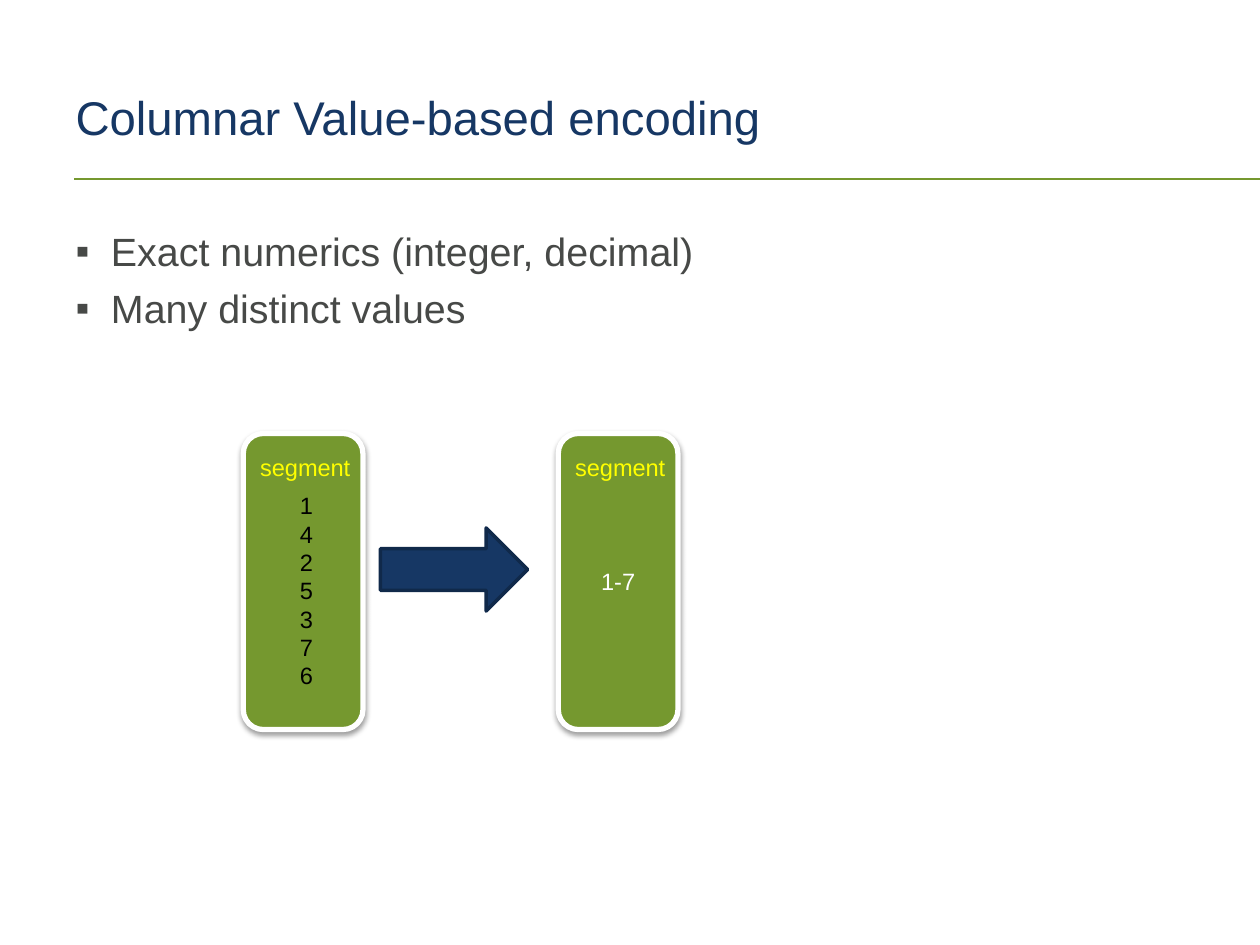
from lxml.etree import SubElement
from pptx import Presentation
from pptx.dml.color import RGBColor
from pptx.enum.shapes import MSO_CONNECTOR, MSO_SHAPE
from pptx.enum.text import MSO_ANCHOR, MSO_AUTO_SIZE, PP_ALIGN
from pptx.oxml import parse_xml
from pptx.oxml.ns import nsdecls, qn
from pptx.util import Pt

# Content
TITLE = "Columnar Value-based encoding"
POINTS = ["Exact numerics (integer, decimal)", "Many distinct values"]
LABEL = "segment"
VALUES = ["1", "4", "2", "5", "3", "7", "6"]
RANGE = "1-7"

# Colours and places (left, top, width, height in points)
NAVY, EDGE, GREEN, GREY = "163764", "10294A", "75982F", "474947"
WHITE, BLACK, YELLOW = "FFFFFF", "000000", "FFFF00"
HEAD = (36, 21.6, 648, 90)
BODY = (36, 126, 648, 356.4)
RULE = (42.5, 102.2, 720)
ARROW = (217.4, 301.7, 84.2, 47.5)
CARDS = (139, 319)
TOP, WIDE, HIGH = 247.7, 68.4, 169.2
SMALL = 13.5


def rgb(code):
    return RGBColor.from_string(code)


def place(shape, box):
    shape.left, shape.top, shape.width, shape.height = map(Pt, box)


def write(frame, lines, size, color, align=PP_ALIGN.LEFT):
    for i, line in enumerate(lines):
        para = frame.paragraphs[0] if i == 0 else frame.add_paragraph()
        para.text = line
        para.alignment = align
        font = para.font
        font.name, font.size = "Arial", Pt(size)
        font.color.rgb = rgb(color)


def shape(kind, box, fill, edge, weight):
    item = slide.shapes.add_shape(kind, *map(Pt, box))
    item.shadow.inherit = False
    item.fill.solid()
    item.fill.fore_color.rgb = rgb(fill)
    item.line.color.rgb = rgb(edge)
    item.line.width = Pt(weight)
    return item


def shade(item):
    effect = item._element.spPr.find(qn("a:effectLst"))
    effect.append(parse_xml(
        f'<a:outerShdw {nsdecls("a")} blurRad="{Pt(3.1)}" dist="{Pt(1.6)}" '
        'dir="5400000" rotWithShape="0"><a:srgbClr val="000000">'
        '<a:alpha val="38000"/></a:srgbClr></a:outerShdw>'))


def label(box, lines, color):
    frame = slide.shapes.add_textbox(*map(Pt, box)).text_frame
    frame.word_wrap = False
    frame.auto_size = MSO_AUTO_SIZE.SHAPE_TO_FIT_TEXT
    write(frame, lines, SMALL, color)


deck = Presentation()
deck.slide_width, deck.slide_height = Pt(720), Pt(540)
slide = deck.slides.add_slide(deck.slide_layouts[1])

# Title and rule
title = slide.shapes.title
place(title, HEAD)
title.text_frame.auto_size = MSO_AUTO_SIZE.NONE
title.text_frame.vertical_anchor = MSO_ANCHOR.MIDDLE
write(title.text_frame, [TITLE], 27, NAVY)

left, y, right = map(Pt, RULE)
rule = slide.shapes.add_connector(MSO_CONNECTOR.STRAIGHT, left, y, right, y)
rule.line.color.rgb = rgb(GREEN)
rule.line.width = Pt(1)
SubElement(rule._element.spPr, qn("a:effectLst"))

# Bullet list
body = slide.placeholders[1]
place(body, BODY)
frame = body.text_frame
frame.auto_size = MSO_AUTO_SIZE.NONE
write(frame, POINTS, 22.5, GREY)
for i, para in enumerate(frame.paragraphs):
    para.space_before = Pt(5.5 if i else 0)
    props = para._p.get_or_add_pPr()
    props.set("marL", str(Pt(20.2)))
    props.set("indent", str(-Pt(20.2)))
    mark = parse_xml(f'<a:buChar {nsdecls("a")} char="▪"/>')
    props.find(qn("a:defRPr")).addprevious(mark)

# Segment cards
cards = []
for x in CARDS:
    card = shape(MSO_SHAPE.ROUNDED_RECTANGLE, (x, TOP, WIDE, HIGH),
                 GREEN, WHITE, 3)
    shade(card)
    cards.append(card)
    label((x + 2.6, TOP + 7.5, 67, 23.8), [LABEL], YELLOW)

# Values before and after encoding
label((CARDS[0] + 25.2, TOP + 29.5, 22.3, 121.7), VALUES, BLACK)
frame = cards[1].text_frame
frame.vertical_anchor = MSO_ANCHOR.MIDDLE
write(frame, [RANGE], SMALL, WHITE, PP_ALIGN.CENTER)

shape(MSO_SHAPE.RIGHT_ARROW, ARROW, NAVY, EDGE, 2)

deck.save("out.pptx")
